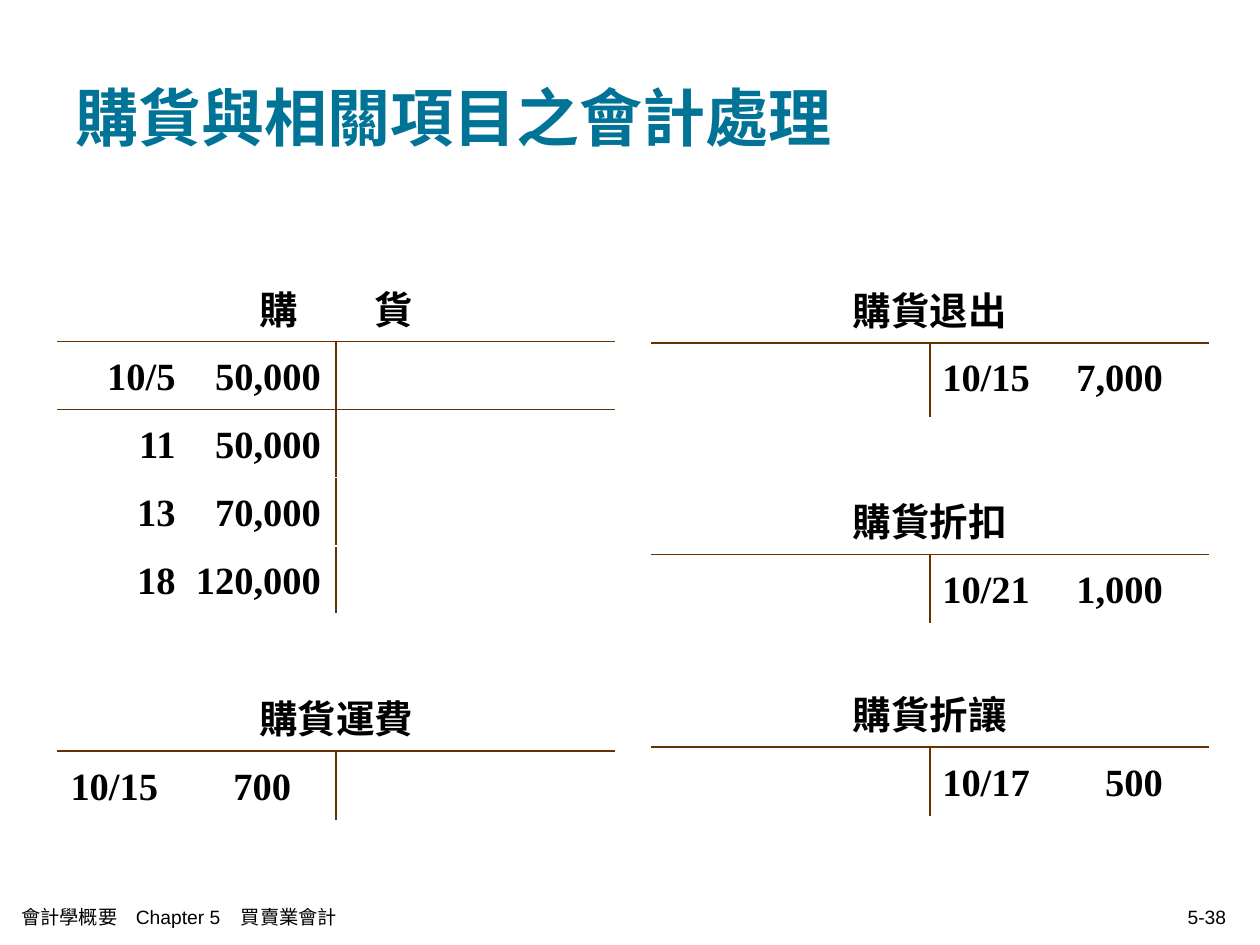
from lxml.etree import SubElement
from pptx import Presentation
from pptx.dml.color import RGBColor
from pptx.enum.text import MSO_ANCHOR, PP_ALIGN
from pptx.oxml.ns import qn
from pptx.util import Pt

TEAL = RGBColor(0x00, 0x73, 0x96)
BLACK = RGBColor(0x00, 0x00, 0x00)
BROWN = RGBColor(0x66, 0x33, 0x00)

LEFT_X, RIGHT_X = 33.1, 372.2
COLUMN_WIDTH = 159.1
DATE_AND_AMOUNT_TABS = [("r", 60), ("r", 143)]
AMOUNT_TAB = [("r", 126)]

# heading, left, top, row height, column of the entries, tab stops, entries
ACCOUNTS = [
    ("購　　貨", LEFT_X, 149.8, 38.9, 0, DATE_AND_AMOUNT_TABS,
     ["\t10/5\t50,000", "\t11\t50,000", "\t13\t70,000", "\t18\t120,000"]),
    ("購貨退出", RIGHT_X, 150.5, 41.8, 1, AMOUNT_TAB, ["10/15\t7,000"]),
    ("購貨運費", LEFT_X, 383.8, 38.9, 0, AMOUNT_TAB, ["10/15\t700"]),
    ("購貨折讓", RIGHT_X, 381.6, 38.9, 1, AMOUNT_TAB, ["10/17\t500"]),
    ("購貨折扣", RIGHT_X, 271.4, 38.9, 1, AMOUNT_TAB, ["10/21\t1,000"]),
]
# text, left, width, alignment, tab stops
FOOTERS = [
    ("會計學概要\tChapter 5\t買賣業會計", 5, 367, PP_ALIGN.LEFT, [("l", 65.5), ("l", 125.5)]),
    ("5-38", 540, 167.8, PP_ALIGN.RIGHT, []),
]


def write(text_frame, text, font_name, size, color, bold, alignment, tabs=()):
    paragraph = text_frame.paragraphs[0]
    paragraph.text = text
    paragraph.alignment = alignment
    if tabs:
        tab_list = SubElement(paragraph._p.get_or_add_pPr(), qn("a:tabLst"))
        for kind, position in tabs:
            SubElement(tab_list, qn("a:tab"), pos=str(Pt(position)), algn=kind)
    for run in paragraph.runs:
        run.font.name = font_name
        run.font.size = Pt(size)
        run.font.bold = bold
        run.font.color.rgb = color
    return paragraph


def rule_cell(cell, sides):
    """Draw the given sides of a cell, in the schema order L, R, T, B."""
    properties = cell._tc.get_or_add_tcPr()
    for side in sides:
        line = SubElement(properties, qn(f"a:ln{side}"), w=str(Pt(1.08)))
        fill = SubElement(line, qn("a:solidFill"))
        SubElement(fill, qn("a:srgbClr"), val=str(BROWN))
    cell.fill.background()


presentation = Presentation()
presentation.slide_width, presentation.slide_height = Pt(720), Pt(540)
slide = presentation.slides.add_slide(presentation.slide_layouts[5])

title = slide.shapes.title
title.left, title.top, title.width, title.height = Pt(36), Pt(21.6), Pt(648), Pt(90)
title.text_frame.vertical_anchor = MSO_ANCHOR.MIDDLE
write(title.text_frame, "購貨與相關項目之會計處理", "Times New Roman", 36, TEAL, True, PP_ALIGN.LEFT)

for heading, left, top, row_height, entry_column, tabs, entries in ACCOUNTS:
    row_count = len(entries) + 1
    table = slide.shapes.add_table(
        row_count, 2, Pt(left), Pt(top), Pt(2 * COLUMN_WIDTH), Pt(row_height * row_count)).table
    table.first_row = table.horz_banding = False
    for column in table.columns:
        column.width = Pt(COLUMN_WIDTH)
    for row in table.rows:
        row.height = Pt(row_height)

    for column in range(2):
        rule_cell(table.cell(0, column), "B")
        for row in range(1, row_count):
            rule_cell(table.cell(row, column), "RL"[column] + ("T" if row == 1 else ""))

    table.cell(0, 0).merge(table.cell(0, 1))
    paragraph = write(table.cell(0, 0).text_frame, heading,
                      "Times New Roman", 22, BLACK, True, PP_ALIGN.CENTER)
    paragraph.line_spacing = 1.2
    for row, entry in enumerate(entries, start=1):
        paragraph = write(table.cell(row, entry_column).text_frame, entry,
                          "Times New Roman", 22, BLACK, True, PP_ALIGN.LEFT, tabs)
        paragraph.line_spacing = 1.2

for text, left, width, alignment, tabs in FOOTERS:
    text_frame = slide.shapes.add_textbox(Pt(left), Pt(511.9), Pt(width), Pt(23.8)).text_frame
    text_frame.word_wrap = True
    text_frame.vertical_anchor = MSO_ANCHOR.MIDDLE
    write(text_frame, text, "Arial", 11, BLACK, False, alignment, tabs)

presentation.save("out.pptx")
